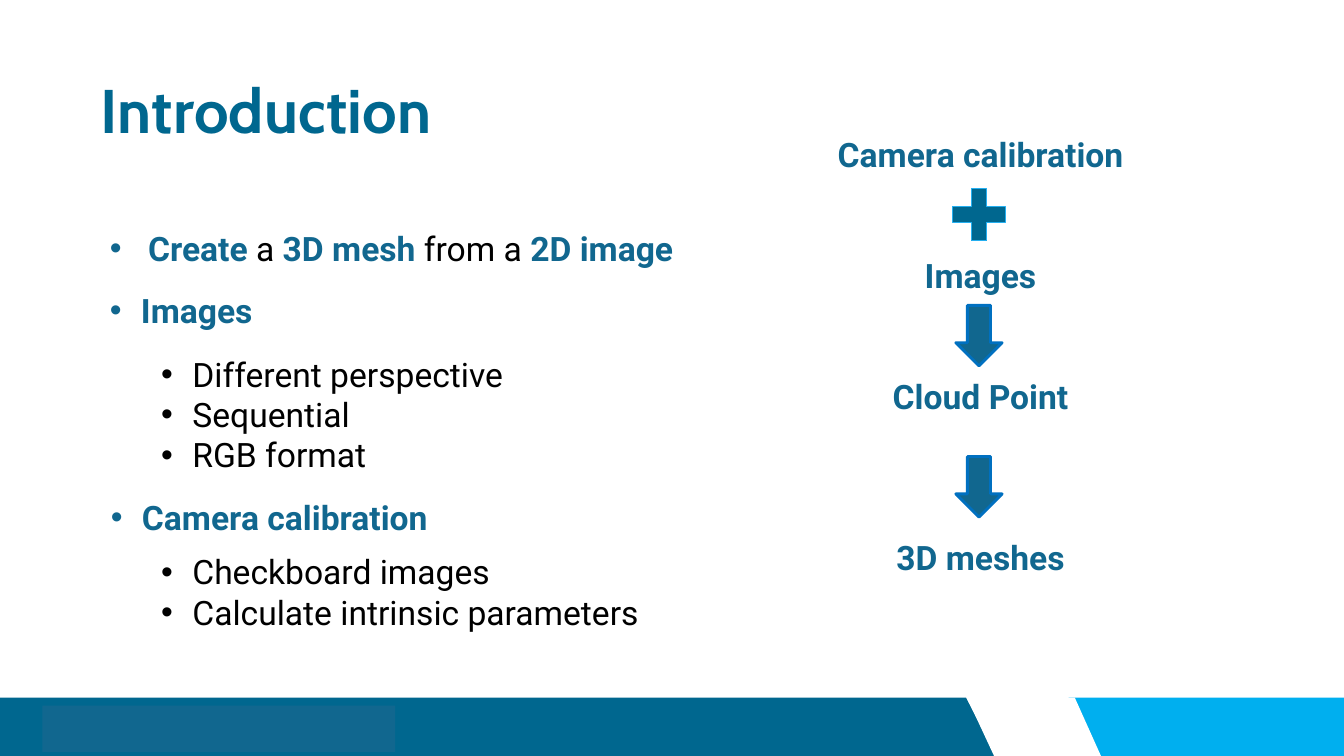
from lxml import etree
from pptx import Presentation
from pptx.dml.color import RGBColor
from pptx.enum.shapes import MSO_SHAPE as Shape
from pptx.enum.text import PP_ALIGN as Align
from pptx.oxml.ns import qn
from pptx.util import Inches, Pt

COLORS = {
    "title": "00678F",
    "accent": "11678F",
    "sky": "00AFEF",
    "plus_edge": "24AFF0",
    "arrow_edge": "0070C0",
    "white": "FFFFFF",
    "black": "000000",
}
BODY = {"name": "Roboto", "size": Pt(24)}
LINE_PITCH = 28.8  # points per line of body text


def rgb(name):
    return RGBColor.from_string(COLORS[name])


def paint(shape, fill, edge=None, width=0):
    shape.shadow.inherit = False
    shape.fill.solid()
    shape.fill.fore_color.rgb = rgb(fill)
    if edge:
        shape.line.color.rgb = rgb(edge)
        shape.line.width = Pt(width)
    else:
        shape.line.fill.background()


def add_band(slide, points, fill):
    corners = [(Inches(x), Inches(y)) for x, y in points]
    outline = slide.shapes.build_freeform(*corners[0])
    outline.add_line_segments(corners[1:], close=True)
    paint(outline.convert_to_shape(), fill)


def add_preset(slide, kind, box, fill, edge=None, width=0):
    shape = slide.shapes.add_shape(kind, *map(Inches, box))
    paint(shape, fill, edge, width)
    return shape


def add_frame(slide, box):
    frame = slide.shapes.add_textbox(*map(Inches, box)).text_frame
    frame.word_wrap = True
    return frame


def add_run(paragraph, text, color, bold, style):
    run = paragraph.add_run()
    run.text = text
    for attribute, value in {**style, "bold": bold}.items():
        setattr(run.font, attribute, value)
    run.font.color.rgb = rgb(color)
    return run


def next_paragraph(frame, index):
    return frame.add_paragraph() if index else frame.paragraphs[0]


def add_title(slide, text):
    frame = add_frame(slide, (1, 0.7, 5.97, 0.76))
    margins = {"margin_left": 0, "margin_top": Inches(0.01),
               "margin_right": 0, "margin_bottom": 0}
    for side, value in margins.items():
        setattr(frame, side, value)
    style = {"name": "Cabin", "size": Pt(44)}
    run = add_run(frame.paragraphs[0], text, "title", True, style)
    run._r.get_or_add_rPr().set("spc", "20")


def add_bullets(slide, box, items, indent=0.31):
    """Each item is a list of (text, is_key) parts; key parts are bold and blue."""
    frame = add_frame(slide, box)
    for index, parts in enumerate(items):
        paragraph = next_paragraph(frame, index)
        properties = paragraph._p.get_or_add_pPr()
        properties.set("marL", str(Inches(indent)))
        properties.set("indent", str(-Inches(indent)))
        etree.SubElement(properties, qn("a:buFont"), typeface="Arial")
        etree.SubElement(properties, qn("a:buChar"), char="•")
        for text, is_key in parts:
            add_run(paragraph, text, "accent" if is_key else "black", is_key, BODY)


def add_pipeline(slide, steps):
    """Each step is (text, number of lines left free above it)."""
    frame = add_frame(slide, (7.38, 1.28, 4.69, 4.54))
    for index, (text, free_lines) in enumerate(steps):
        paragraph = next_paragraph(frame, index)
        paragraph.alignment = Align.CENTER
        if free_lines:
            paragraph.space_before = Pt(free_lines * LINE_PITCH)
        add_run(paragraph, text, "accent", True, BODY)

    plus = add_preset(slide, Shape.CROSS, (9.45, 1.87, 0.52, 0.52),
                      "title", "plus_edge", 0.75)
    plus.adjustments[0] = 0.35
    for top in (3.03, 4.53):
        add_preset(slide, Shape.DOWN_ARROW, (9.48, top, 0.46, 0.6),
                   "accent", "arrow_edge", 2)


def add_footer(slide):
    top, bottom = 6.92, 7.5
    bands = [
        ("title", 0, 9.58, 9.88, 0),
        ("sky", 10.6, 13.33, 13.33, 10.69),
        ("white", 9.59, 10.66, 10.92, 9.86),
    ]
    for fill, top_left, top_right, bottom_right, bottom_left in bands:
        add_band(slide, [(top_left, top), (top_right, top),
                         (bottom_right, bottom), (bottom_left, bottom)], fill)
    add_preset(slide, Shape.RECTANGLE, (0.42, 7, 3.5, 0.46), "accent")


def main():
    deck = Presentation()
    deck.slide_width, deck.slide_height = Inches(13.33), Inches(7.5)
    slide = deck.slides.add_slide(deck.slide_layouts[6])

    add_footer(slide)
    add_title(slide, "Introduction")
    goal = [("Create", True), (" a ", False), ("3D mesh", True),
            (" from a ", False), ("2D image", True)]
    add_bullets(slide, (0.99, 2.21, 6.25, 0.5), [goal], indent=0.38)

    topics = [
        ("Images", (0.99, 2.83), 3.46,
         ["Different perspective", "Sequential", "RGB format"]),
        ("Camera calibration", (1, 4.88), 5.42,
         ["Checkboard images", "Calculate intrinsic parameters"]),
    ]
    for topic, (left, top), details_top, details in topics:
        add_bullets(slide, (left, top, 3.55, 0.5), [[(topic, True)]])
        add_bullets(slide, (1.5, details_top, 5.05, 0.1 + 0.4 * len(details)),
                    [[(detail, False)] for detail in details])

    add_pipeline(slide, [("Camera calibration", 0), ("Images", 2),
                         ("Cloud Point", 2), ("3D meshes", 3)])
    deck.save("out.pptx")


if __name__ == "__main__":
    main()
